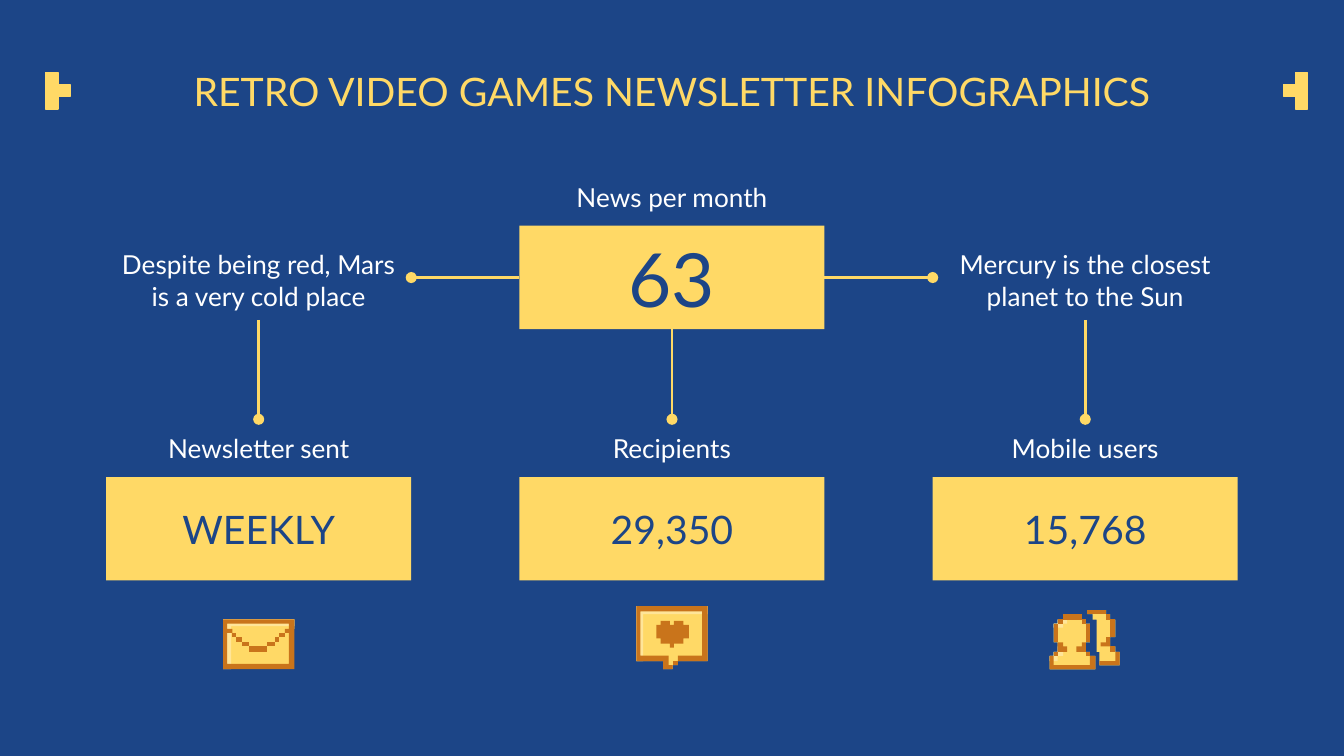
import lxml.etree
import pptx
import pptx.dml.color
import pptx.enum.shapes
import pptx.enum.text
import pptx.oxml.ns
import pptx.util

Inches = pptx.util.Inches
Pt = pptx.util.Pt
ANCHOR = pptx.enum.text.MSO_ANCHOR

BLUE, YELLOW, WHITE = "1C4587", "FFD966", "FFFFFF"
LIGHT, BROWN = "FFE599", "C9741B"
SLIDE_WIDTH = 10
MARGIN, CARD_WIDTH, CARD_HEIGHT = 0.79, 2.27, 0.77
LABEL_HEIGHT, NOTE_HEIGHT = 0.43, 0.63
PITCH = (SLIDE_WIDTH - 2 * MARGIN - CARD_WIDTH) / 2
COLUMNS = [MARGIN + PITCH * i for i in range(3)]
ICON_WIDTH, ICON_BOTTOM = 0.53, 4.98

ENVELOPE = [
    (YELLOW, [0, 0, 53, 37]),
    (YELLOW, [0, 7, 3, 10, 7, 13, 10, 17, 14, 20, 19, 24, 33, 20,
              39, 17, 42, 13, 46, 10, 49, 7, 53, 0]),
    (LIGHT, [0, 37, 6, 5, 53, 0]),
    (BROWN, [7, 10, 10, 13]),
    (BROWN, [10, 13, 14, 17]),
    (BROWN, [14, 17, 19, 20]),
    (BROWN, [42, 10, 46, 13]),
    (BROWN, [39, 13, 42, 17]),
    (BROWN, [33, 17, 39, 20]),
    (BROWN, [19, 20, 33, 24]),
    (BROWN, [49, 7, 46, 10, 49, 33, 3, 10, 7, 7, 3, 3], [0, 0, 53, 37]),
]
HEART_BUBBLE = [
    (YELLOW, [0, 41, 20, 47, 27, 44, 31, 41, 53, 0]),
    (LIGHT, [0, 41, 5, 6, 53, 0]),
    (BROWN, [18, 14, 15, 24, 18, 28, 25, 31, 28, 28, 35, 24,
             39, 14, 35, 11, 28, 14, 25, 11]),
    (BROWN, [27, 41, 31, 44]),
    (BROWN, [0, 41, 20, 47, 27, 44, 24, 37, 3, 4, 49, 37, 31, 41, 53, 0]),
]
USERS = [
    (YELLOW, [10, 7, 6, 10, 3, 24, 6, 31, 3, 34, 0, 44, 34, 34,
              30, 31, 27, 24, 30, 10, 27, 7, 24, 3]),
    (LIGHT, [10, 7, 6, 10, 3, 13, 10, 10, 13, 3]),
    (LIGHT, [6, 31, 3, 34, 0, 38, 6, 34, 10, 27]),
    (YELLOW, [28, 3, 32, 7, 35, 31, 37, 41, 52, 31, 49, 27,
              45, 20, 49, 7, 45, 3, 42, 0]),
    (BROWN, [3, 10, 6, 24]),
    (BROWN, [27, 10, 30, 24]),
    (BROWN, [10, 3, 24, 7]),
    (BROWN, [6, 7, 10, 10]),
    (BROWN, [24, 7, 27, 10]),
    (BROWN, [24, 27, 20, 31, 27, 24]),
    (BROWN, [3, 31, 6, 34]),
    (BROWN, [27, 31, 30, 34]),
    (BROWN, [0, 44, 34, 34, 30, 41, 3, 34]),
    (BROWN, [6, 31, 13, 27, 10, 24]),
    (BROWN, [45, 7, 49, 20]),
    (BROWN, [28, 0, 42, 3]),
    (BROWN, [42, 3, 45, 7]),
    (BROWN, [42, 24, 38, 27, 45, 20]),
    (BROWN, [45, 27, 49, 31]),
    (BROWN, [49, 38, 37, 41, 52, 31]),
]
STATS = [
    ("Newsletter sent", "WEEKLY", ENVELOPE, 0.37),
    ("Recipients", "29,350", HEART_BUBBLE, 0.47),
    ("Mobile users", "15,768", USERS, 0.44),
]


def color(value):
    return pptx.dml.color.RGBColor.from_string(value)


def write(shape, words, size, ink, anchor, space_after=0):
    frame = shape.text_frame
    frame.word_wrap = True
    frame.vertical_anchor = anchor
    frame.margin_left = frame.margin_right = Inches(0.1)
    frame.margin_top = frame.margin_bottom = Inches(0.1)
    paragraph = frame.paragraphs[0]
    paragraph.alignment = pptx.enum.text.PP_ALIGN.CENTER
    paragraph.space_after = Pt(space_after)
    run = paragraph.add_run()
    run.text = words
    run.font.size = Pt(size)
    run.font.name = "Lato"
    run.font.color.rgb = color(ink)


def add_caption(slide, left, top, height, words):
    caption = slide.shapes.add_textbox(
        Inches(left), Inches(top), Inches(CARD_WIDTH), Inches(height))
    write(caption, words, 14, WHITE, ANCHOR.TOP, 16)
    return caption


def add_stat(slide, left, top, label, value, size):
    card = slide.shapes.add_shape(
        pptx.enum.shapes.MSO_SHAPE.RECTANGLE, Inches(left),
        Inches(top + LABEL_HEIGHT), Inches(CARD_WIDTH), Inches(CARD_HEIGHT))
    card.shadow.inherit = False
    card.fill.solid()
    card.fill.fore_color.rgb = color(YELLOW)
    card.line.fill.background()
    write(card, value, size, BLUE, ANCHOR.MIDDLE)
    return add_caption(slide, left, top, LABEL_HEIGHT, label), card


def corners(turns):
    points = []
    for i, turn in enumerate(turns):
        following = turns[(i + 1) % len(turns)]
        points.append((turn, following) if i % 2 == 0 else (following, turn))
    return points


def add_pixels(slide, left, top, fill, outlines):
    first, *others = [corners(turns) for turns in outlines]
    builder = slide.shapes.build_freeform(*first[0], scale=Inches(0.01))
    builder.add_line_segments(first[1:], close=True)
    for outline in others:
        builder.move_to(*outline[0])
        builder.add_line_segments(outline[1:], close=True)
    pixels = builder.convert_to_shape(Inches(left), Inches(top))
    pixels.shadow.inherit = False
    pixels.fill.solid()
    pixels.fill.fore_color.rgb = color(fill)
    pixels.line.fill.background()
    return pixels


def add_icon(slide, left, top, layers):
    for fill, *outlines in layers:
        add_pixels(slide, left, top, fill, outlines)


def add_side_mark(slide, left, top, stem, tip):
    for column, row in [(stem, 0), (stem, 1), (stem, 2), (tip, 1)]:
        square = add_pixels(slide, left + 0.09 * column, top + 0.09 * row,
                            YELLOW, [[0, 0, 9, 9]])
        square.line.color.rgb = color(YELLOW)
        square.line.width = Pt(0.75)


def add_header(slide, left, top, width, height):
    title = slide.shapes.add_textbox(
        Inches(left), Inches(top), Inches(width), Inches(height))
    write(title, "RETRO VIDEO GAMES NEWSLETTER INFOGRAPHICS", 21, YELLOW,
          ANCHOR.BOTTOM)
    add_side_mark(slide, left, top + 0.22, 0, 1)
    add_side_mark(slide, left + width - 0.11, top + 0.22, 1, 0)


def add_link(slide, start, start_side, dotted_end, dotted_side):
    link = slide.shapes.add_connector(
        pptx.enum.shapes.MSO_CONNECTOR.STRAIGHT, 0, 0, 0, 0)
    link.begin_connect(start, start_side)
    link.end_connect(dotted_end, dotted_side)
    link.line.color.rgb = color(YELLOW)
    link.line.width = Pt(1.5)
    qn = pptx.oxml.ns.qn
    properties = link._element.spPr
    lxml.etree.SubElement(
        properties.find(qn("a:ln")), qn("a:tailEnd"), type="oval")
    lxml.etree.SubElement(properties, qn("a:effectLst"))


def add_diagram(slide, top, lower_top):
    labels = []
    for left, (label, value, layers, icon_height) in zip(COLUMNS, STATS):
        caption, _ = add_stat(slide, left, lower_top, label, value, 21)
        labels.append(caption)
        add_icon(slide, left + (CARD_WIDTH - ICON_WIDTH) / 2,
                 ICON_BOTTOM - icon_height, layers)
    _, news = add_stat(slide, COLUMNS[1], top, "News per month", "63", 40)
    note_top = top + LABEL_HEIGHT + (CARD_HEIGHT - NOTE_HEIGHT) / 2
    mars = add_caption(slide, COLUMNS[0], note_top, NOTE_HEIGHT,
                       "Despite being red, Mars is a very cold place")
    mercury = add_caption(slide, COLUMNS[2], note_top, NOTE_HEIGHT,
                          "Mercury is the closest planet to the Sun")
    for source, label in zip([mars, news, mercury], labels):
        add_link(slide, source, 2, label, 0)
    add_link(slide, news, 1, mars, 3)
    add_link(slide, news, 3, mercury, 1)


def main():
    deck = pptx.Presentation()
    deck.slide_width = Inches(SLIDE_WIDTH)
    deck.slide_height = Inches(SLIDE_WIDTH) * 9 // 16
    slide = deck.slides.add_slide(deck.slide_layouts[6])
    slide.background.fill.solid()
    slide.background.fill.fore_color.rgb = color(BLUE)
    add_header(slide, 0.34, 0.32, 9.32, 0.63)
    add_diagram(slide, 1.25, 3.12)
    deck.save("out.pptx")


if __name__ == "__main__":
    main()
